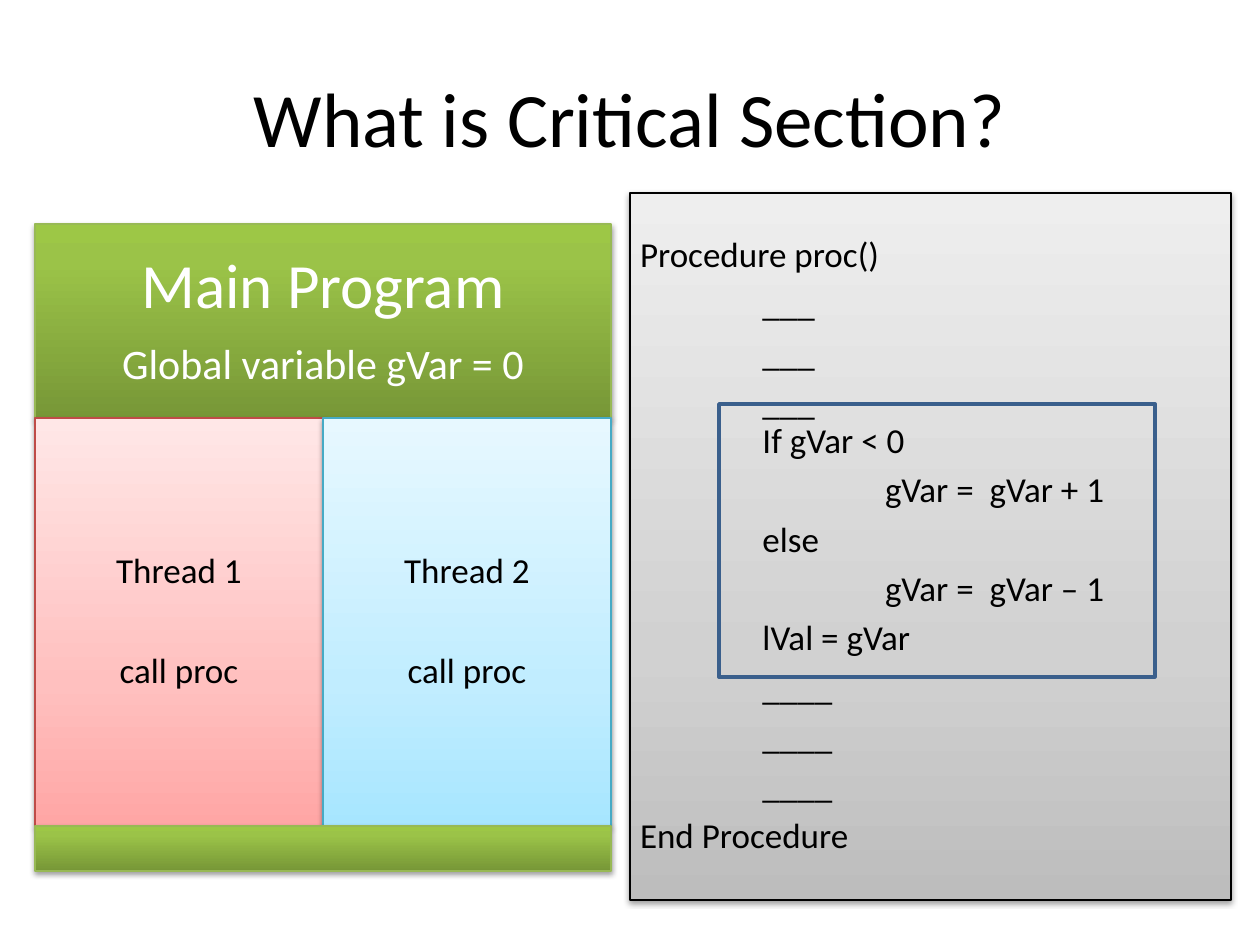
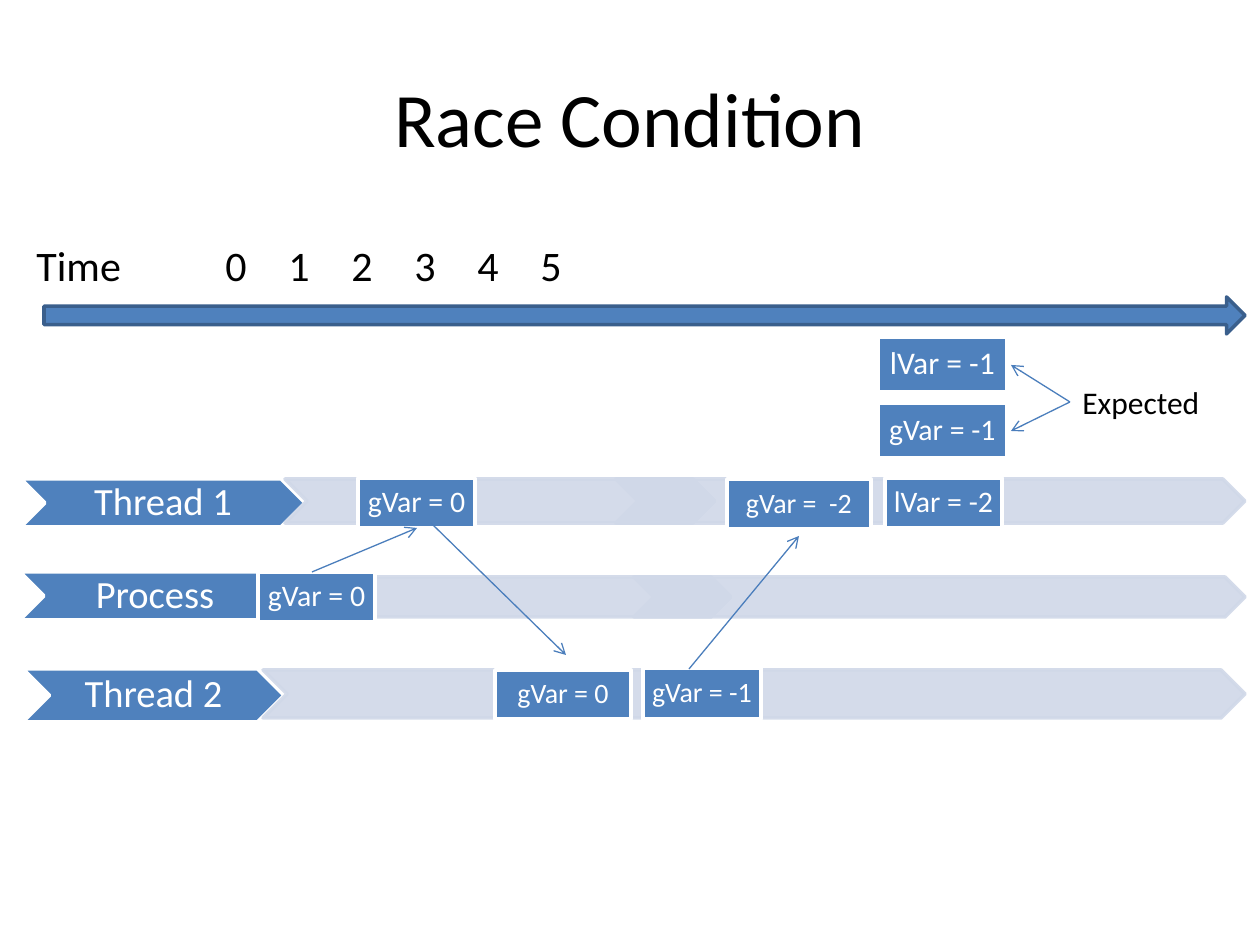
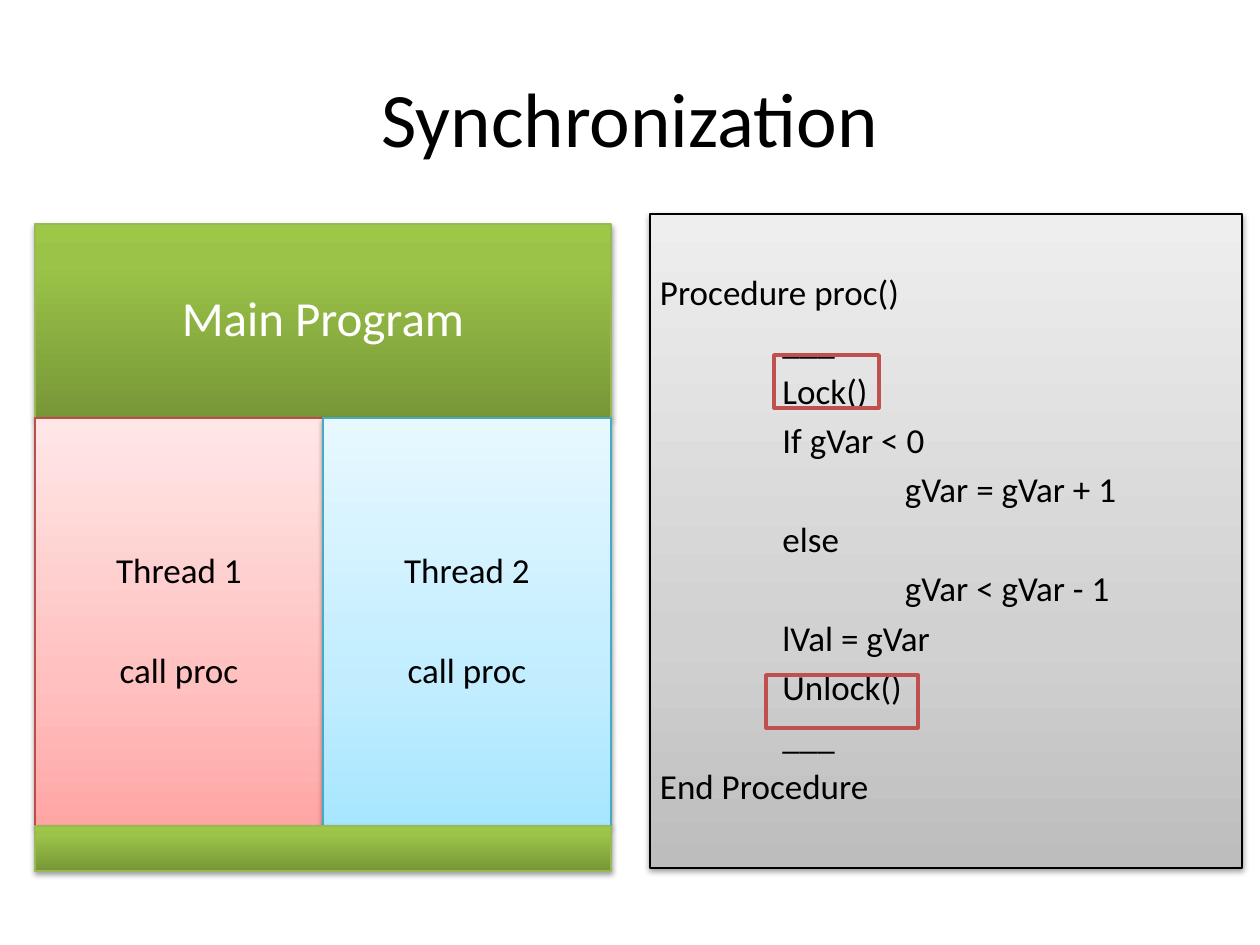
from copy import deepcopy

from lxml.etree import SubElement
from pptx import Presentation
from pptx.dml.color import RGBColor
from pptx.enum.shapes import MSO_CONNECTOR as Conn, MSO_SHAPE as Kind
from pptx.enum.text import MSO_ANCHOR as Anchor, PP_ALIGN as Align
from pptx.oxml.ns import qn
from pptx.util import Emu, Pt

SCALE = 914400 / 126
FONT = "Calibri"

# Colours
BLACK = RGBColor(0x00, 0x00, 0x00)
WHITE = RGBColor(0xFF, 0xFF, 0xFF)
BLUE = RGBColor(0x4F, 0x81, 0xBD)
NAVY = RGBColor(0x3A, 0x5F, 0x8C)
PALE = RGBColor(0xD0, 0xD8, 0xE8)
WIRE = RGBColor(0x4B, 0x7E, 0xBC)
RED = RGBColor(0xC0, 0x50, 0x4D)
LIME = RGBColor(0x98, 0xB9, 0x55)
ROSE = RGBColor(0xBF, 0x4C, 0x48)
TEAL = RGBColor(0x46, 0xAA, 0xC5)

# Gradients: position and colour, from the bottom up
GREEN_FADE = ((0, RGBColor(0x77, 0x97, 0x37)), (0.8, RGBColor(0x9B, 0xC3, 0x48)),
              (1, RGBColor(0x9D, 0xC7, 0x46)))
RED_FADE = ((0, RGBColor(0xFF, 0xA6, 0xA5)), (0.35, RGBColor(0xFF, 0xC0, 0xBF)),
            (1, RGBColor(0xFF, 0xE7, 0xE7)))
BLUE_FADE = ((0, RGBColor(0xA7, 0xE6, 0xFF)), (0.35, RGBColor(0xC1, 0xED, 0xFF)),
             (1, RGBColor(0xE7, 0xF8, 0xFF)))
GREY_FADE = ((0, RGBColor(0xBD, 0xBD, 0xBD)), (0.35, RGBColor(0xD1, 0xD1, 0xD1)),
             (1, RGBColor(0xEE, 0xEE, 0xEE)))


def px(count):
    return Emu(round(count * SCALE))


# Text
def write(shape, lines, color=BLACK, align=Align.CENTER, tight=False):
    """Fill a shape with (text, size) lines; tight sets the diagram spacing."""
    frame = shape.text_frame
    frame.word_wrap = True
    for i, (text, size) in enumerate(lines):
        para = frame.add_paragraph() if i else frame.paragraphs[0]
        para.text = text
        para.alignment = align
        if tight:
            para.line_spacing = 0.9
            para.space_after = Pt(size * 0.33)
        for run in para.runs:
            run.font.name = FONT
            run.font.size = Pt(size)
            run.font.color.rgb = color


def pad(shape, side, top):
    frame = shape.text_frame
    frame.vertical_anchor = Anchor.MIDDLE
    frame.margin_left = frame.margin_right = px(side)
    frame.margin_top = frame.margin_bottom = px(top)


def label(slide, box, text, size, align=Align.LEFT):
    area = slide.shapes.add_textbox(*map(px, box))
    write(area, [(text, size)], align=align)
    return area


# Shapes
def draw(slide, kind, box, fill, line, width=2):
    shape = slide.shapes.add_shape(kind, *map(px, box))
    shape.shadow.inherit = False
    if fill is None:
        shape.fill.background()
    else:
        shape.fill.solid()
        shape.fill.fore_color.rgb = fill
    shape.line.color.rgb = line
    shape.line.width = Pt(width)
    return shape


def panel(slide, box, fade, line):
    """A gradient block with a soft shadow below it."""
    shape = draw(slide, Kind.RECTANGLE, box, None, line, 0.75)
    shape.fill.gradient()
    shape.fill.gradient_angle = 90
    props = shape._element.spPr
    stops = props.find(".//" + qn("a:gsLst"))
    stops.append(deepcopy(stops[0]))
    for stop, (place, color) in zip(shape.fill.gradient_stops, fade):
        stop.position = place
        stop.color.rgb = color
    glow = SubElement(props.find(qn("a:effectLst")), qn("a:outerShdw"),
                      blurRad="40000", dist="20000", dir="5400000", rotWithShape="0")
    dark = SubElement(glow, qn("a:srgbClr"), val=str(BLACK))
    SubElement(dark, qn("a:alpha"), val="38000")
    pad(shape, 10, 10)
    return shape


def band(slide, box):
    """A pale, slightly clear chevron."""
    shape = draw(slide, Kind.CHEVRON, box, PALE, PALE)
    for color in shape._element.spPr.iter(qn("a:srgbClr")):
        SubElement(color, qn("a:alpha"), val="90000")


def lane(slide, name, head, *bands):
    shape = draw(slide, Kind.CHEVRON, head, BLUE, WHITE)
    pad(shape, 2, 2)
    write(shape, [(name, 22)], WHITE, tight=True)
    for box in bands:
        band(slide, box)


def tag(slide, text, size, box):
    shape = draw(slide, Kind.RECTANGLE, box, BLUE, WHITE)
    pad(shape, 8, 8)
    write(shape, [(text, size)], WHITE, tight=True)


def arrow(slide, ends):
    wire = slide.shapes.add_connector(Conn.STRAIGHT, *map(px, ends))
    wire.line.color.rgb = WIRE
    wire.line.width = Pt(0.75)
    SubElement(wire.line._get_or_add_ln(), qn("a:tailEnd"), type="arrow")
    SubElement(wire._element.spPr, qn("a:effectLst"))


# Parts the slides share
def start(deck, title):
    slide = deck.slides.add_slide(deck.slide_layouts[6])
    area = label(slide, (63, 38, 1134, 158), title, 44, Align.CENTER)
    area.text_frame.vertical_anchor = Anchor.MIDDLE
    return slide


def program(slide, heads):
    """Main program block above its two threads."""
    left, wide = 35, 576
    half = wide // 2
    top = panel(slide, (left, 224, wide, 194), GREEN_FADE, LIME)
    write(top, heads, WHITE, tight=True)
    threads = (("Thread 1", RED_FADE, ROSE), ("Thread 2", BLUE_FADE, TEAL))
    for i, (name, fade, line) in enumerate(threads):
        block = panel(slide, (left + i * half, 418, half, 408), fade, line)
        write(block, [(name, 20), ("call proc", 20)], tight=True)
        block.text_frame.paragraphs[0].space_after = Pt(35.2)
    panel(slide, (left, 826, wide, 45), GREEN_FADE, LIME)


def code(slide, box, lines):
    """Listing of (indent level, text) lines."""
    block = panel(slide, box, GREY_FADE, BLACK)
    write(block, [(text, 20) for _, text in lines], align=Align.LEFT, tight=True)
    for para, (level, _) in zip(block.text_frame.paragraphs, lines):
        props = para._p.get_or_add_pPr()
        props.set("marL", str(px(122.5 * level)))
        props.set("indent", "0")


# Slides
def critical(deck):
    slide = start(deck, "What is Critical Section?")
    program(slide, [("Main Program", 36), ("Global variable gVar = 0", 24)])
    code(slide, (630, 193, 601, 707), [
        (0, "Procedure proc()"),
        (1, "___"),
        (1, "___"),
        (1, "___\vIf gVar < 0"),
        (2, "gVar =  gVar + 1"),
        (1, "else"),
        (2, "gVar =  gVar – 1"),
        (1, "lVal = gVar"),
        (1, "____"),
        (1, "____"),
        (1, "____"),
        (0, "End Procedure"),
    ])
    draw(slide, Kind.RECTANGLE, (719, 404, 436, 273), None, NAVY)


def race(deck):
    slide = start(deck, "Race Condition")

    # Lanes
    lane(slide, "Thread 1", (21, 479, 284, 48), (285, 479, 430, 44), (616, 479, 629, 44))
    lane(slide, "Thread 2", (23, 669, 261, 53), (263, 670, 473, 48), (674, 670, 571, 48))
    lane(slide, "Process", (20, 572, 270, 48), (272, 577, 459, 40), (634, 577, 611, 40))

    # Time axis
    label(slide, (24, 233, 1201, 63), "Time\t\t0\t1\t2\t3\t4\t5", 24)
    draw(slide, Kind.RIGHT_ARROW, (44, 297, 1201, 37), BLUE, NAVY)

    # Values over time
    for text, size, box in (
        ("gVar = 0", 17, (358, 478, 117, 50)),
        ("gVar =  -2", 16, (727, 479, 144, 50)),
        ("gVar = -1", 16, (643, 668, 118, 51)),
        ("lVar = -2", 17, (885, 478, 117, 50)),
        ("gVar = 0", 16, (495, 670, 136, 49)),
        ("gVar = -1", 17, (878, 403, 129, 55)),
        ("lVar = -1", 18, (878, 337, 129, 55)),
        ("gVar = 0", 17, (258, 572, 117, 50)),
    ):
        tag(slide, text, size, box)
    label(slide, (1070, 377, 151, 50), "Expected", 18)

    for ends in (
        (431, 523, 566, 655),
        (689, 669, 799, 536),
        (1070, 402, 1011, 365),
        (1070, 402, 1011, 431),
        (312, 572, 417, 528),
    ):
        arrow(slide, ends)


def sync(deck):
    slide = start(deck, "Synchronization")
    program(slide, [("Main Program", 28)])
    code(slide, (650, 214, 592, 654), [
        (0, "Procedure proc()"),
        (1, "___"),
        (1, "Lock()"),
        (1, "If gVar < 0"),
        (2, "gVar = gVar + 1"),
        (1, "else"),
        (2, "gVar < gVar - 1"),
        (1, "lVal = gVar"),
        (1, "Unlock()"),
        (1, "___"),
        (0, "End Procedure"),
    ])
    for box in ((774, 355, 105, 53), (766, 675, 152, 53)):
        draw(slide, Kind.RECTANGLE, box, None, RED)


def main():
    deck = Presentation()
    deck.slide_width, deck.slide_height = px(1260), px(945)
    critical(deck)
    race(deck)
    sync(deck)
    deck.save("out.pptx")


main()
